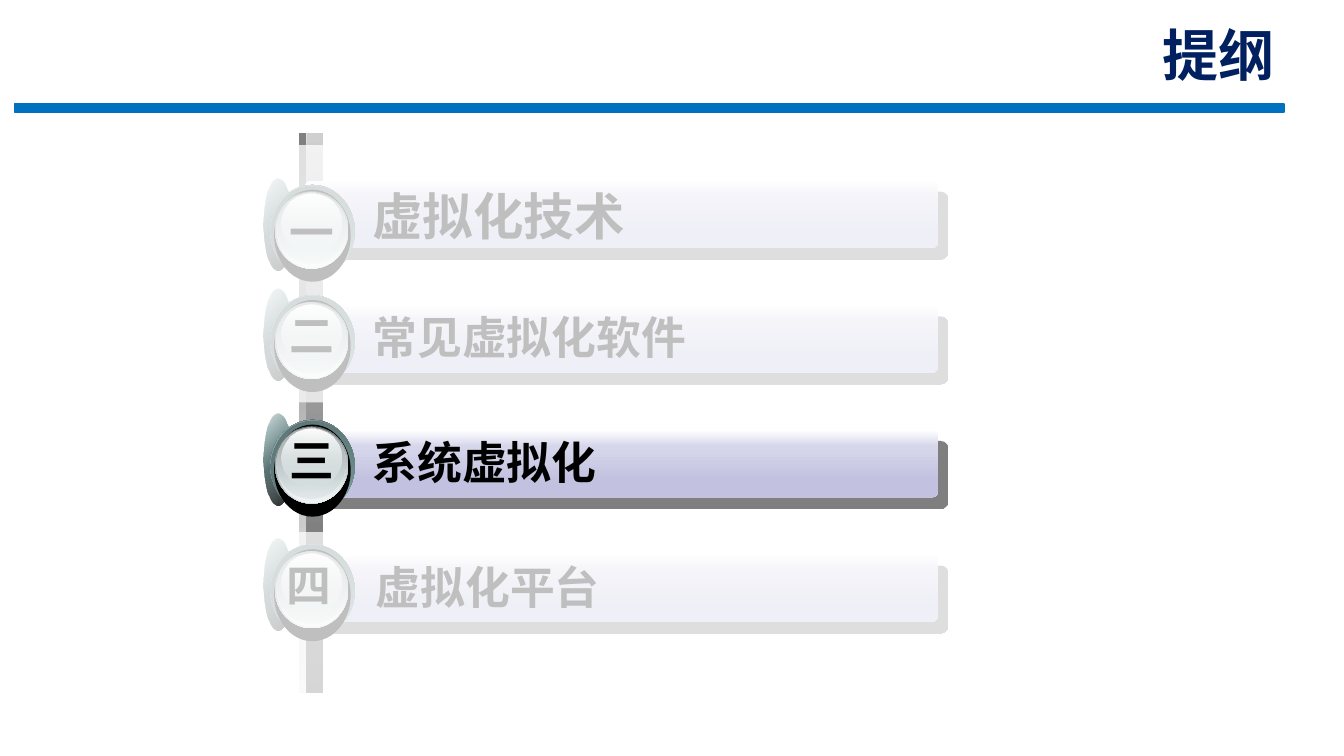
from dataclasses import dataclass

from lxml.etree import SubElement
from pptx import Presentation
from pptx.dml.color import RGBColor
from pptx.enum.shapes import MSO_SHAPE
from pptx.enum.text import MSO_ANCHOR, MSO_AUTO_SIZE, PP_ALIGN
from pptx.oxml import parse_xml
from pptx.oxml.ns import nsdecls, qn
from pptx.util import Cm, Pt

WHITE = RGBColor(0xFF, 0xFF, 0xFF)
BLACK = RGBColor(0x00, 0x00, 0x00)
NAVY = RGBColor(0x00, 0x20, 0x60)
BLUE = RGBColor(0x00, 0x70, 0xC0)
LILAC_LIGHT = RGBColor(0xD6, 0xD6, 0xEB)
LILAC = RGBColor(0xC2, 0xC2, 0xE0)
TEAL = RGBColor(0x83, 0xA6, 0xA7)
TEAL_DARK = RGBColor(0x47, 0x5A, 0x5A)
TEAL_DEEP = RGBColor(0x53, 0x69, 0x6A)
MIST = RGBColor(0xD6, 0xE1, 0xE2)
MIST_LIGHT = RGBColor(0xF1, 0xF5, 0xF5)
MIST_DARK = RGBColor(0xAA, 0xB2, 0xB3)
SLATE = RGBColor(0x63, 0x68, 0x69)
GRAY = RGBColor(0x80, 0x80, 0x80)
GRAY_PALE = RGBColor(0xEC, 0xEC, 0xEC)
GRAY_LIGHT = RGBColor(0xCF, 0xCF, 0xCF)
GRAY_DARK = RGBColor(0x5F, 0x5F, 0x5F)

TITLE_FONT = "Roboto"
LIST_FONT = "Noto Sans CJK SC"

BAR_TOP, BAR_STEP = 4.55, 3.14
BAR_RIGHT, BAR_HEIGHT = 23.65, 1.71


@dataclass(frozen=True)
class Stop:
    position: int
    color: RGBColor
    opacity: int = 100


@dataclass(frozen=True)
class BadgeLayer:
    left: float
    drop: float
    width: float
    height: float
    stops: tuple[Stop, ...]
    angle: int = 90


@dataclass(frozen=True)
class Topic:
    numeral: str
    label: str
    size: int = 32
    badge_rise: float = 0.41
    numeral_drop: float = 0.36
    bar_left: float = 7.67
    label_left: float = 9.14
    numeral_left: float = 7.04


TOPICS = (
    Topic("一", "虚拟化技术", size=36, badge_rise=0.05, numeral_drop=0.53),
    Topic("二", "常见虚拟化软件"),
    Topic("三", "系统虚拟化"),
    Topic("四", "虚拟化平台", bar_left=7.44, label_left=9.22, numeral_left=6.98),
)

BADGE = (
    BadgeLayer(6.65, 0, 0.71, 2.32,
               (Stop(0, WHITE), Stop(50, TEAL), Stop(100, WHITE)), 45),
    BadgeLayer(6.65, 0, 0.71, 2.32, (Stop(0, TEAL, 32), Stop(100, BLACK, 90)), 45),
    BadgeLayer(6.81, 0.16, 2.13, 2.32,
               (Stop(0, TEAL_DARK), Stop(50, TEAL), Stop(100, TEAL_DARK)), 315),
    BadgeLayer(6.81, 0.17, 2.13, 2.32, (Stop(0, TEAL_DEEP), Stop(100, TEAL, 0)), 45),
    BadgeLayer(6.91, 0.28, 1.93, 2.32, (Stop(0, BLACK),)),
    BadgeLayer(6.93, 0.32, 1.85, 1.95, (Stop(0, SLATE), Stop(100, MIST))),
    BadgeLayer(6.96, 0.33, 1.8, 1.91, (Stop(0, MIST, 0), Stop(100, MIST_LIGHT))),
    BadgeLayer(6.98, 0.35, 1.73, 1.79, (Stop(0, MIST_DARK), Stop(100, MIST, 48))),
    BadgeLayer(7.09, 0.39, 1.52, 1.45, (Stop(0, WHITE), Stop(100, MIST, 38))),
)


def set_gradient(shape, stops: tuple[Stop, ...], angle: int) -> None:
    """Swap the solid fill for a linear gradient, angle in degrees clockwise."""
    stop_xml = "".join(
        f'<a:gs pos="{stop.position * 1000}"><a:srgbClr val="{stop.color}">'
        f'<a:alpha val="{stop.opacity * 1000}"/></a:srgbClr></a:gs>'
        for stop in stops
    )
    gradient = parse_xml(
        f'<a:gradFill {nsdecls("a")} rotWithShape="1"><a:gsLst>{stop_xml}</a:gsLst>'
        f'<a:lin ang="{angle * 60000}" scaled="0"/></a:gradFill>'
    )
    properties = shape.fill._xPr
    properties.replace(properties.find(qn("a:solidFill")), gradient)


def add_filled(shapes, preset: MSO_SHAPE, left: float, top: float, width: float,
               height: float, *stops: Stop, angle: int = 90):
    """Add an unlined shape; one stop gives a plain fill, more a gradient."""
    shape = shapes.add_shape(preset, Cm(left), Cm(top), Cm(width), Cm(height))
    shape.shadow.inherit = False
    shape.line.fill.background()
    shape.fill.solid()
    shape.fill.fore_color.rgb = stops[0].color
    if len(stops) > 1:
        set_gradient(shape, stops, angle)
    elif stops[0].opacity < 100:
        color = shape.fill._xPr.find(qn("a:solidFill"))[0]
        SubElement(color, qn("a:alpha"), val=str(stops[0].opacity * 1000))
    return shape


def add_hard_shadow(shape) -> None:
    effects = shape._element.spPr.find(qn("a:effectLst"))
    effects.append(parse_xml(
        f'<a:outerShdw {nsdecls("a")} blurRad="0" dist="134620" dir="2940000" '
        f'algn="ctr" rotWithShape="0"><a:srgbClr val="{BLACK}">'
        '<a:alpha val="50000"/></a:srgbClr></a:outerShdw>'
    ))


def write(frame, text: str, *, size: int, font: str, color: RGBColor,
          align: PP_ALIGN = PP_ALIGN.LEFT) -> None:
    paragraph = frame.paragraphs[0]
    paragraph.alignment = align
    run = paragraph.add_run()
    run.text = text
    run.font.size = Pt(size)
    run.font.bold = True
    run.font.name = font
    run.font.color.rgb = color
    SubElement(run.font._element, qn("a:ea"), typeface=font)


def add_label(shapes, text: str, left: float, top: float, width: float, *,
              size: int, wrap: bool) -> None:
    box = shapes.add_textbox(Cm(left), Cm(top), Cm(width), Cm(1.63))
    box.text_frame.word_wrap = wrap
    box.text_frame.auto_size = MSO_AUTO_SIZE.SHAPE_TO_FIT_TEXT
    write(box.text_frame, text, size=size, font=LIST_FONT, color=BLACK)


def add_topic(slide, topic: Topic, top: float) -> None:
    shapes = slide.shapes.add_group_shape().shapes
    bar = add_filled(shapes, MSO_SHAPE.ROUNDED_RECTANGLE, topic.bar_left, top,
                     BAR_RIGHT - topic.bar_left, BAR_HEIGHT,
                     Stop(0, WHITE), Stop(25, LILAC_LIGHT), Stop(75, LILAC))
    bar.adjustments[0] = 0.11
    add_hard_shadow(bar)
    add_label(shapes, topic.label, topic.label_left, top, 13.13,
              size=topic.size, wrap=True)
    badge_top = top - topic.badge_rise
    for layer in BADGE:
        add_filled(shapes, MSO_SHAPE.OVAL, layer.left, badge_top + layer.drop,
                   layer.width, layer.height, *layer.stops, angle=layer.angle)
    add_label(shapes, topic.numeral, topic.numeral_left,
              badge_top + topic.numeral_drop, 1.6, size=32, wrap=False)


def add_heading(slide) -> None:
    rule = add_filled(slide.shapes, MSO_SHAPE.RECTANGLE, 0.36, 2.62, 32, 0.2,
                      Stop(0, BLUE))
    rule.line.color.rgb = BLUE
    rule.line.width = Pt(1)
    title = slide.shapes.title
    title.left, title.top, title.width, title.height = map(Cm, (16.28, 0.86, 16.08, 1.47))
    title.text_frame.vertical_anchor = MSO_ANCHOR.BOTTOM
    title.text_frame.auto_size = MSO_AUTO_SIZE.NONE
    write(title.text_frame, "提纲", size=40, font=TITLE_FONT, color=NAVY,
          align=PP_ALIGN.RIGHT)


def main() -> None:
    deck = Presentation()
    deck.slide_width, deck.slide_height = Cm(33.87), Cm(19.05)
    slide = deck.slides.add_slide(deck.slide_layouts.get_by_name("Title Only"))
    add_heading(slide)
    add_filled(slide.shapes, MSO_SHAPE.RECTANGLE, 7.54, 3.36, 0.18, 14.1,
               Stop(0, GRAY), Stop(100, GRAY_PALE))
    add_filled(slide.shapes, MSO_SHAPE.RECTANGLE, 7.72, 3.36, 0.43, 14.1,
               Stop(0, GRAY_LIGHT), Stop(100, GRAY_DARK))
    for index, topic in enumerate(TOPICS):
        add_topic(slide, topic, BAR_TOP + index * BAR_STEP)
    veil = Stop(0, WHITE, 75)
    add_filled(slide.shapes, MSO_SHAPE.RECTANGLE, 3.38, 3.66, 23.01, 6.48, veil)
    add_filled(slide.shapes, MSO_SHAPE.RECTANGLE, 4.04, 13.41, 23.01, 4.14, veil)
    deck.save("out.pptx")


if __name__ == "__main__":
    main()
